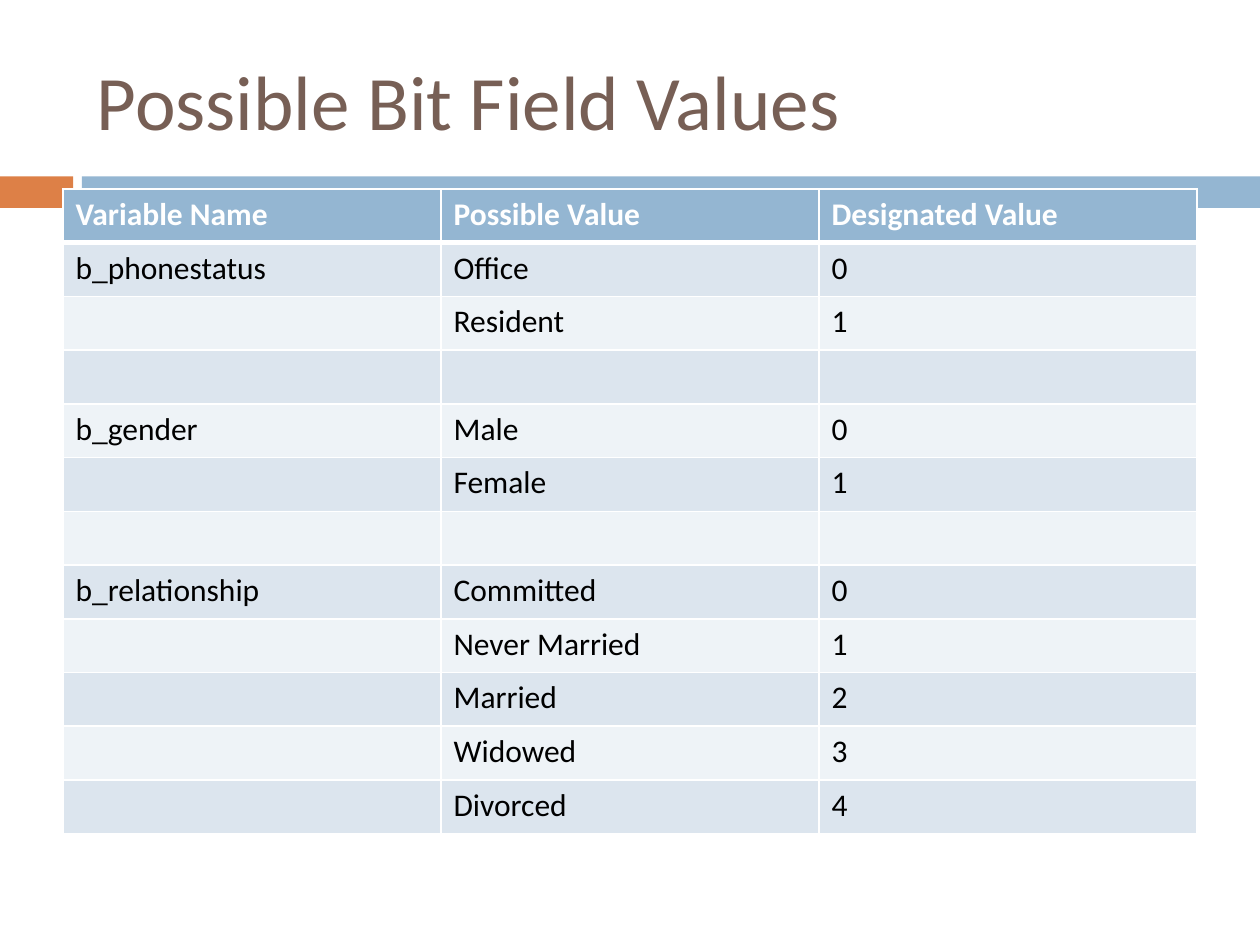
"""Build the slide that lists the possible bit field values."""
from lxml.etree import SubElement
from pptx import Presentation
from pptx.dml.color import RGBColor
from pptx.enum.shapes import MSO_SHAPE as Shape
from pptx.enum.text import MSO_ANCHOR as Anchor
from pptx.oxml.ns import qn
from pptx.util import Inches, Pt


def paint(fill, color):
    fill.solid()
    fill.fore_color.rgb = RGBColor.from_string(color)


def style_text(para, size, color, bold=False):
    for span in para.runs:
        span.font.name = "Calibri"
        span.font.size = Pt(size)
        span.font.bold = bold
        paint(span.font.fill, color)


ORANGE, BLUE, BROWN = "DD8047", "94B6D2", "775F55"
WHITE, BLACK = "FFFFFF", "000000"
BANDS = ["DCE5EE", "EEF3F7"]
ROWS = [
    ("Variable Name", "Possible Value", "Designated Value"),
    ("b_phonestatus", "Office", "0"),
    ("", "Resident", "1"),
    ("", "", ""),
    ("b_gender", "Male", "0"),
    ("", "Female", "1"),
    ("", "", ""),
    ("b_relationship", "Committed", "0"),
    ("", "Never Married", "1"),
    ("", "Married", "2"),
    ("", "Widowed", "3"),
    ("", "Divorced", "4"),
]

deck = Presentation()
deck.slide_width, deck.slide_height = Inches(10), Inches(7.5)
page = deck.slides.add_slide(deck.slide_layouts[6])
paint(page.background.fill, WHITE)

for left, width, color in [(0, 0.58, ORANGE), (0.65, 9.35, BLUE)]:
    bar = page.shapes.add_shape(
        Shape.RECTANGLE, Inches(left), Inches(1.4), Inches(width), Inches(0.25))
    bar.shadow.inherit = False
    paint(bar.fill, color)
    bar.line.fill.background()

title = page.shapes.add_textbox(Inches(0.67), Inches(0.25), Inches(8.92), Inches(1.08))
title.text_frame.word_wrap = True
title.text_frame.vertical_anchor = Anchor.MIDDLE
title.text_frame.text = "Possible Bit Field Values"
style_text(title.text_frame.paragraphs[0], 44, BROWN)

table = page.shapes.add_table(
    len(ROWS), 3, Inches(0.5), Inches(1.5), Inches(9), Inches(5.12)).table
for row, values in enumerate(ROWS):
    header = row == 0
    for column, value in enumerate(values):
        cell = table.cell(row, column)
        cell.text_frame.text = value
        style_text(cell.text_frame.paragraphs[0], 18, WHITE if header else BLACK, header)
        properties = cell._tc.get_or_add_tcPr()
        for side in ("L", "R", "T", "B"):
            thick = (header and side == "B") or (row == 1 and side == "T")
            border = SubElement(properties, qn(f"a:ln{side}"), w=str(Pt(3 if thick else 1)))
            SubElement(SubElement(border, qn("a:solidFill")), qn("a:srgbClr"), val=WHITE)
        paint(cell.fill, BLUE if header else BANDS[(row - 1) % 2])

deck.save("out.pptx")
